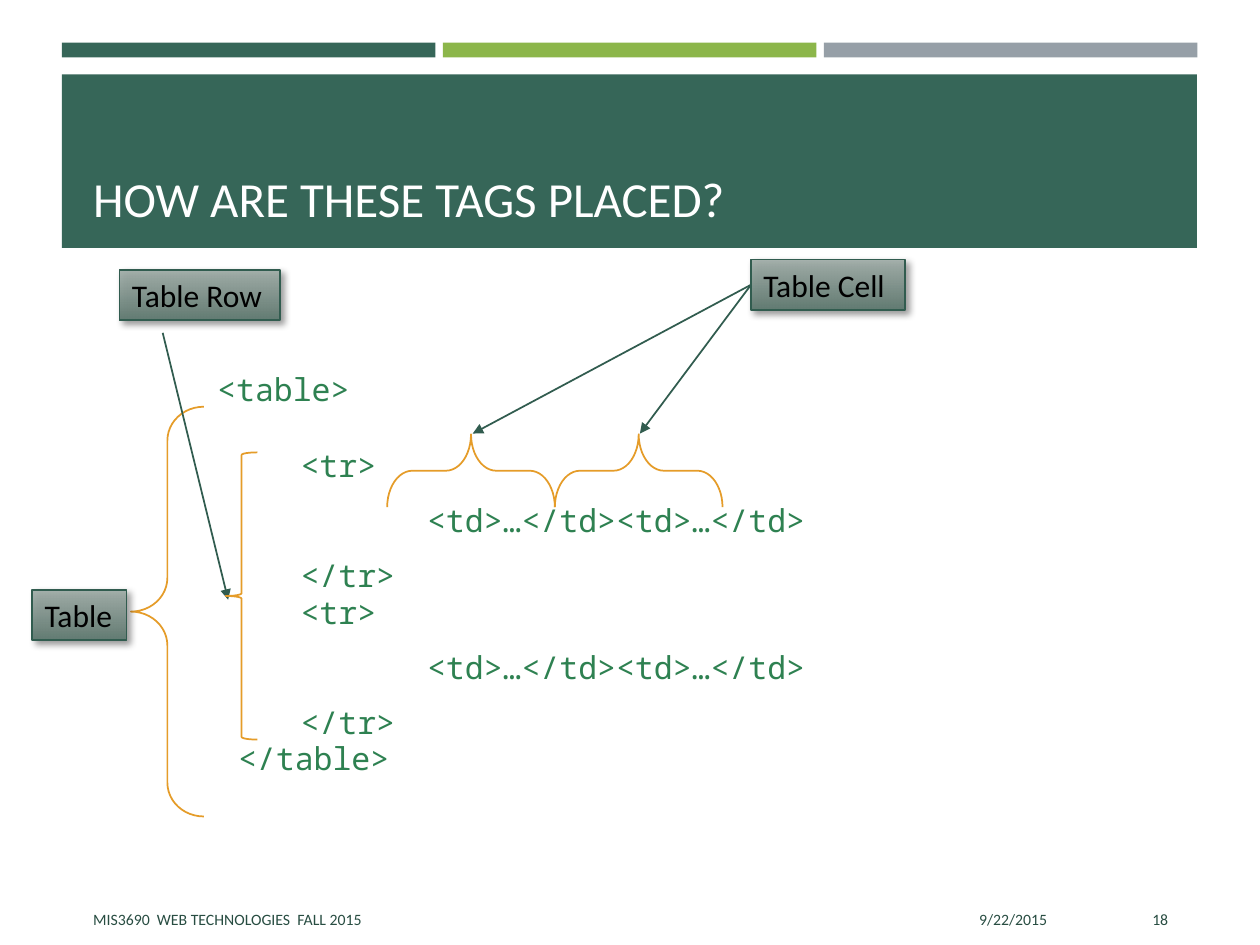
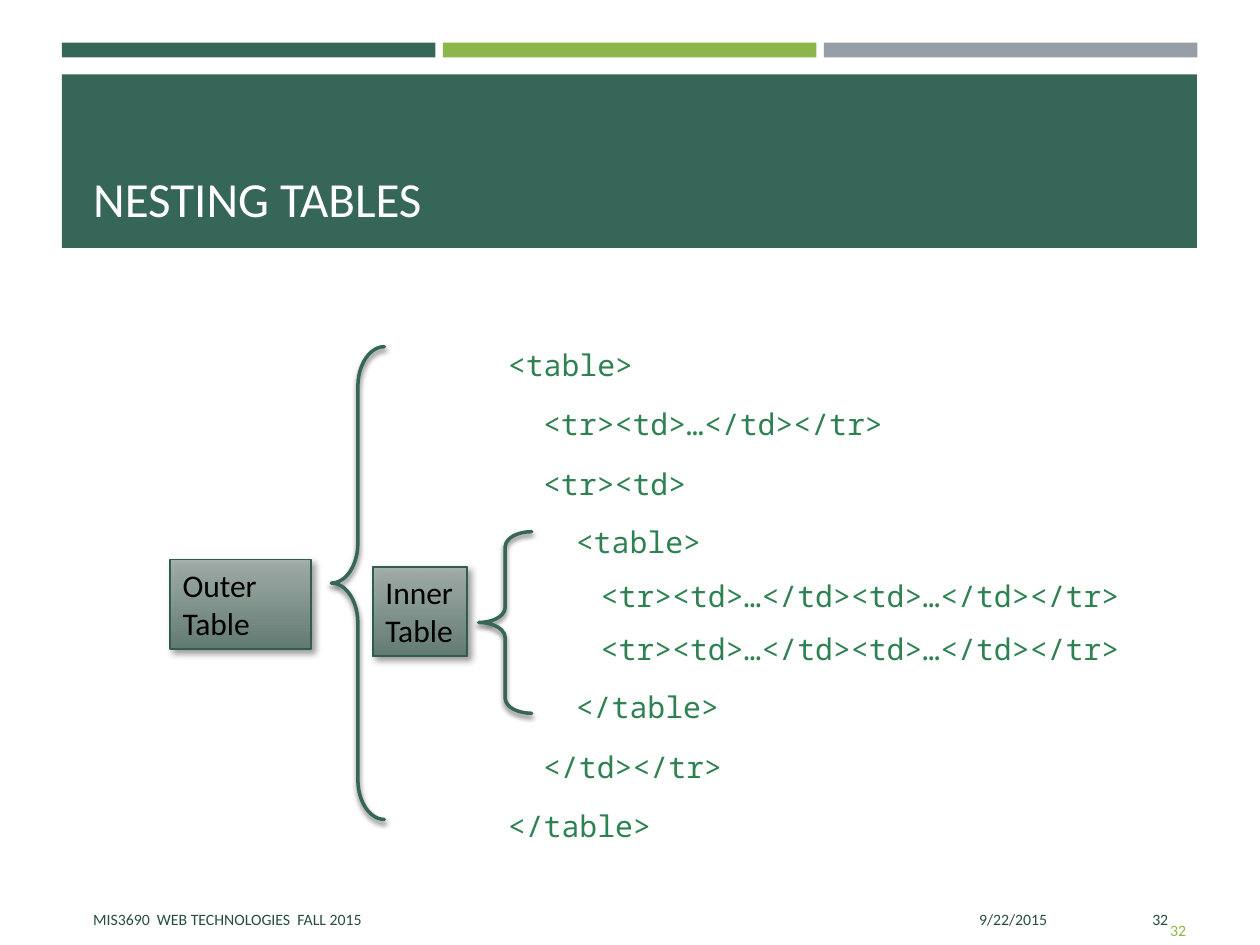
from lxml import etree
from pptx import Presentation
from pptx import util as u
from pptx.dml.color import RGBColor
from pptx.enum import shapes, text
from pptx.oxml.ns import qn

COLORS = {
    "green": "366658", "lime": "8CB64A", "grey": "969FA7", "white": "FFFFFF",
    "black": "000000", "footer": "284D42", "code": "2E8151", "orange": "E59C29",
    "outline": "315C4F", "label_top": "9FACA7", "label_bottom": "627B72",
}
BODY_FONT, CODE_FONT = "Calibri", "Noto Sans Mono"
COURSE, DATE = "MIS3690  WEB TECHNOLOGIES  FALL 2015", "9/22/2015"
BAND_LEFT, BAND_WIDTH = 1.25, 22.88
BAR_WIDTH, BAR_STEP = 7.53, 7.68
FOOTER_TOP, FOOTER_HEIGHT = 18.03, 1.02
ROW = "<td>…</td><td>…</td>"


def rgb(name):
    return RGBColor.from_string(COLORS[name])


def cm(*values):
    return [u.Cm(v) for v in values]


def add_run(p, content, size, color, font=BODY_FONT):
    r = p.add_run()
    r.text = content
    r.font.size, r.font.name = u.Pt(size), font
    r.font.color.rgb = rgb(color)


def add_text(s, box, content, size, color, anchor=text.MSO_ANCHOR.MIDDLE,
             align=text.PP_ALIGN.LEFT):
    tf = s.shapes.add_textbox(*cm(*box)).text_frame
    tf.word_wrap, tf.vertical_anchor = True, anchor
    p = tf.paragraphs[0]
    p.alignment = align
    add_run(p, content, size, color)


def add_rect(s, box, color):
    sp = s.shapes.add_shape(shapes.MSO_SHAPE.RECTANGLE, *cm(*box))
    sp.shadow.inherit = False
    sp.fill.solid()
    sp.fill.fore_color.rgb = rgb(color)
    sp.line.fill.background()


def add_alpha(color_el, percent):
    etree.SubElement(color_el, qn("a:alpha"), val=str(percent * 1000))


def add_shadow(sp, alpha, blur, dist, angle):
    """Cast a black shadow; blur and dist in points, angle in degrees."""
    effects = sp.element.spPr.find(qn("a:effectLst"))
    shadow = etree.SubElement(
        effects, qn("a:outerShdw"), blurRad=str(u.Pt(blur)),
        dist=str(u.Pt(dist)), dir=str(angle * 60000), algn="ctr", rotWithShape="0")
    add_alpha(etree.SubElement(shadow, qn("a:srgbClr"), val=COLORS["black"]), alpha)


def add_label(s, box, lines, wrap=False):
    sp = s.shapes.add_shape(shapes.MSO_SHAPE.RECTANGLE, *cm(*box))
    sp.shadow.inherit = False
    sp.fill.gradient()
    sp.fill.gradient_angle = 270
    for stop, color in zip(sp.fill.gradient_stops, ("label_top", "label_bottom")):
        stop.color.rgb = rgb(color)
    add_alpha(next(sp.element.spPr.iter(qn("a:srgbClr"))), 90)
    sp.line.color.rgb, sp.line.width = rgb("outline"), u.Pt(1)
    add_shadow(sp, 40, 4, 3, 45)
    tf = sp.text_frame
    tf.word_wrap, tf.vertical_anchor = wrap, text.MSO_ANCHOR.TOP
    tf.auto_size = text.MSO_AUTO_SIZE.SHAPE_TO_FIT_TEXT
    for i, line in enumerate(lines):
        p = tf.add_paragraph() if i else tf.paragraphs[0]
        p.alignment = text.PP_ALIGN.LEFT
        add_run(p, line, 18, "black")
    return sp


def add_brace(s, box, curve=0.083, color="orange", width=1, rotation=0):
    sp = s.shapes.add_shape(shapes.MSO_SHAPE.LEFT_BRACE, *cm(*box))
    sp.shadow.inherit = False
    sp.adjustments[0] = curve
    sp.rotation = rotation
    sp.fill.background()
    sp.line.color.rgb, sp.line.width = rgb(color), u.Pt(width)
    return sp


def add_heavy_brace(s, box, curve):
    sp = add_brace(s, box, curve, "green", 2)
    sp.element.spPr.find(qn("a:ln")).set("cap", "rnd")
    add_shadow(sp, 55, 3, 2, 90)


def add_arrow(s, start, end):
    c = s.shapes.add_connector(shapes.MSO_CONNECTOR.STRAIGHT, *cm(*start, *end))
    c.line.color.rgb, c.line.width = rgb("outline"), u.Pt(1)
    spPr = c.element.spPr
    etree.SubElement(spPr.find(qn("a:ln")), qn("a:tailEnd"), type="triangle")
    etree.SubElement(spPr, qn("a:effectLst"))
    return c


def add_code(s, box, top_inset, size, pitch, lines):
    """Write lines of (indent in cm, space before in points, code)."""
    tf = s.shapes.add_textbox(*cm(*box)).text_frame
    tf.word_wrap, tf.margin_top = True, u.Cm(top_inset)
    for i, (indent, before, code) in enumerate(lines):
        p = tf.add_paragraph() if i else tf.paragraphs[0]
        p.line_spacing, p.space_before = u.Pt(pitch), u.Pt(before)
        p._p.get_or_add_pPr().set("marL", str(u.Cm(indent)))
        add_run(p, code, size, "code", CODE_FONT)


def add_base(prs, title, number):
    """Add a slide with the bars, title band and footer all slides share."""
    s = prs.slides.add_slide(prs.slide_layouts[6])
    for i, color in enumerate(("green", "lime", "grey")):
        add_rect(s, (BAND_LEFT + i * BAR_STEP, 0.86, BAR_WIDTH, 0.3), color)
    add_rect(s, (BAND_LEFT, 1.5, BAND_WIDTH, 3.5), "green")
    add_text(s, (1.63, 1.7, 22.2, 3), title, 28, "white", text.MSO_ANCHOR.BOTTOM)
    for left, width, content, align in (
            (15.44, 5.92, DATE, text.PP_ALIGN.RIGHT),
            (1.63, 13.54, COURSE, text.PP_ALIGN.LEFT),
            (21.67, 2.13, number, text.PP_ALIGN.RIGHT)):
        add_text(s, (left, FOOTER_TOP, width, FOOTER_HEIGHT), content, 9, "footer",
                 align=align)
    return s


def tag_placement_slide(prs):
    s = add_base(prs, "HOW ARE THESE TAGS PLACED?", "18")
    tr, td = 2.13, 4.68
    add_code(s, (3.68, 7.34, 19.05, 11), 0.14, 18, 21, [
        (0.45, 0, "<table>"),
        (tr, 22.4, "<tr>"), (td, 10.4, ROW), (tr, 10.4, "</tr>"),
        (tr, 0, "<tr>"), (td, 10.4, ROW), (tr, 10.4, "</tr>"),
        (0.87, 0, "</table>"),
    ])
    add_brace(s, (2.64, 8.2, 1.47, 8.26), 0.464)
    cell = add_label(s, (15.14, 5.23, 3.1, 1.02), ["Table Cell"])
    for brace_left, tip in ((12.14, 12.9), (8.76, 9.53)):
        add_brace(s, (brace_left, 7.8, 1.47, 3.38), 0.345, rotation=90)
        add_arrow(s, (15.14, 5.74), (tip, 8.74)).begin_connect(cell, 1)
    add_label(s, (0.65, 11.89, 1.9, 1.02), ["Table"])
    add_arrow(s, (3.28, 6.71), (4.6, 12.09))
    add_label(s, (2.41, 5.44, 3.23, 1.02), ["Table Row"])
    add_brace(s, (4.55, 9.12, 0.64, 5.79))


def nesting_slide(prs):
    s = add_base(prs, "NESTING TABLES", "32")
    outer, row, inner, inner_row = 0.97, 1.68, 2.34, 2.84
    nested_row = f"<tr>{ROW}</tr>"
    add_code(s, (9.02, 4.85, 14.6, 12.7), 1.78, 17, 30.6, [
        (outer, 0, "<table>"),
        (row, 3.4, "<tr><td>…</td></tr>"),
        (row, 3.4, "<tr><td>"),
        (inner, 2.5, "<table>"),
        (inner_row, 0, nested_row), (inner_row, 0, nested_row),
        (inner, 2.5, "</table>"),
        (row, 3.4, "</td></tr>"),
        (outer, 3.4, "</table>"),
    ])
    add_label(s, (3.43, 11.28, 2.84, 1.8), ["Outer Table"], wrap=True)
    add_label(s, (7.52, 11.43, 1.9, 1.8), ["Inner", "Table"])
    add_heavy_brace(s, (9.65, 10.72, 1.07, 3.66), 0.283)
    add_heavy_brace(s, (6.68, 6.99, 1.07, 9.53), 0.75)
    add_text(s, (22.89, 18.24, 1.27, 1.02), "32", 9, "lime",
             align=text.PP_ALIGN.RIGHT)


def main():
    prs = Presentation()
    prs.slide_width, prs.slide_height = cm(25.4, 19.05)
    tag_placement_slide(prs)
    nesting_slide(prs)
    prs.save("out.pptx")


if __name__ == "__main__":
    main()
